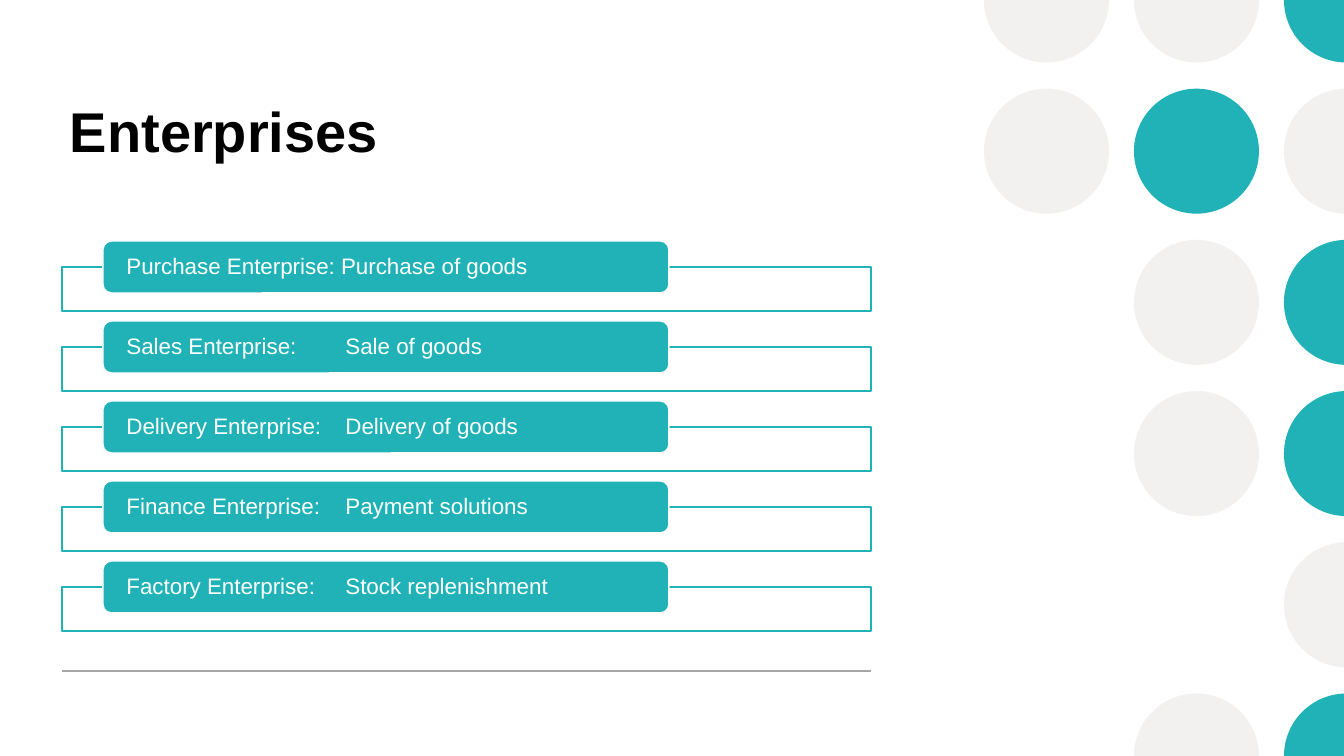
"""Build the Enterprises slide: five labelled bars beside a grid of dots."""
from dataclasses import dataclass

from lxml import etree
from pptx import Presentation
from pptx.dml.color import RGBColor
from pptx.enum.shapes import MSO_CONNECTOR, MSO_SHAPE
from pptx.enum.text import MSO_ANCHOR, PP_ALIGN
from pptx.oxml.ns import qn
from pptx.util import Pt

RECTANGLE = MSO_SHAPE.RECTANGLE
ROUNDED = MSO_SHAPE.ROUNDED_RECTANGLE
OVAL = MSO_SHAPE.OVAL
STRAIGHT = MSO_CONNECTOR.STRAIGHT
MIDDLE = MSO_ANCHOR.MIDDLE
TOP = MSO_ANCHOR.TOP
LEFT = PP_ALIGN.LEFT


@dataclass(frozen=True)
class Theme:
    teal: RGBColor = RGBColor.from_string("20B2B6")
    pale: RGBColor = RGBColor.from_string("F3F0F0")
    rule: RGBColor = RGBColor.from_string("A6A6A6")
    white: RGBColor = RGBColor.from_string("FFFFFF")
    black: RGBColor = RGBColor.from_string("000000")
    font: str = "Arial"
    title_size: int = 40
    label_size: int = 16


THEME = Theme()
WIDTH, HEIGHT = 1344, 756
SCALE = 12192000 / WIDTH


def px(length):
    return round(length * SCALE)


def add_filled_shape(kind, left, top, width, height, fill, line=None):
    shape = shapes.add_shape(kind, px(left), px(top), px(width), px(height))
    shape.shadow.inherit = False
    shape.fill.solid()
    shape.fill.fore_color.rgb = fill
    if line is None:
        shape.line.fill.background()
    else:
        shape.line.color.rgb = line
        shape.line.width = Pt(1)
    return shape


presentation = Presentation()
presentation.slide_width, presentation.slide_height = px(WIDTH), px(HEIGHT)
slide = presentation.slides.add_slide(presentation.slide_layouts[6])
shapes = slide.shapes

DOT_SIZE = 125
DOT_LEFT, DOT_PITCH = 984, 150
DOT_ROWS = ["PPT", "PTP", " PT", " PT", "  P", " PT"]
DOT_COLORS = {"P": THEME.pale, "T": THEME.teal}
for row, pattern in enumerate(DOT_ROWS):
    center_y = row * HEIGHT / (len(DOT_ROWS) - 1)
    for column, code in enumerate(pattern):
        if code in DOT_COLORS:
            add_filled_shape(OVAL, DOT_LEFT + column * DOT_PITCH, center_y - DOT_SIZE / 2,
                             DOT_SIZE, DOT_SIZE, DOT_COLORS[code])

CONTENT_LEFT, CONTENT_WIDTH = 62, 809
rule = shapes.add_connector(STRAIGHT, px(CONTENT_LEFT), px(671),
                            px(CONTENT_LEFT + CONTENT_WIDTH), px(671))
rule.line.color.rgb = THEME.rule
rule.line.width = Pt(1)
etree.SubElement(rule._element.spPr, qn("a:effectLst"))

title = shapes.add_textbox(px(CONTENT_LEFT), px(85), px(CONTENT_WIDTH), px(140))
title_frame = title.text_frame
title_frame.word_wrap = True
title_frame.vertical_anchor = TOP
title_frame.margin_left, title_frame.margin_top = px(8), px(12)
title_run = title_frame.paragraphs[0].add_run()
title_run.text = "Enterprises"
title_run.font.name = THEME.font
title_run.font.size = Pt(THEME.title_size)
title_run.font.bold = True
title_run.font.color.rgb = THEME.black

ENTERPRISES = [
    "Purchase Enterprise: Purchase of goods",
    "Sales Enterprise:\tSale of goods",
    "Delivery Enterprise:\tDelivery of goods",
    "Finance Enterprise:\tPayment solutions",
    "Factory Enterprise:\tStock replenishment",
]
BAR_TOP, BAR_PITCH = 241, 80
for index, label in enumerate(ENTERPRISES):
    top = BAR_TOP + index * BAR_PITCH
    add_filled_shape(RECTANGLE, CONTENT_LEFT, top + 26, CONTENT_WIDTH, 44,
                     THEME.white, THEME.teal)
    bar = add_filled_shape(ROUNDED, 103, top, 566, 52, THEME.teal, THEME.white)
    text_frame = bar.text_frame
    text_frame.word_wrap = True
    text_frame.vertical_anchor = MIDDLE
    text_frame.margin_left = text_frame.margin_right = px(21)
    text_frame.margin_top = text_frame.margin_bottom = 0
    paragraph = text_frame.paragraphs[0]
    paragraph.alignment = LEFT
    paragraph.line_spacing = 0.9
    tab_stops = etree.SubElement(paragraph._p.get_or_add_pPr(), qn("a:tabLst"))
    etree.SubElement(tab_stops, qn("a:tab"), pos=str(px(219)), algn="l")
    run = paragraph.add_run()
    run.text = label
    run.font.name = THEME.font
    run.font.size = Pt(THEME.label_size)
    run.font.color.rgb = THEME.white

presentation.save("out.pptx")
